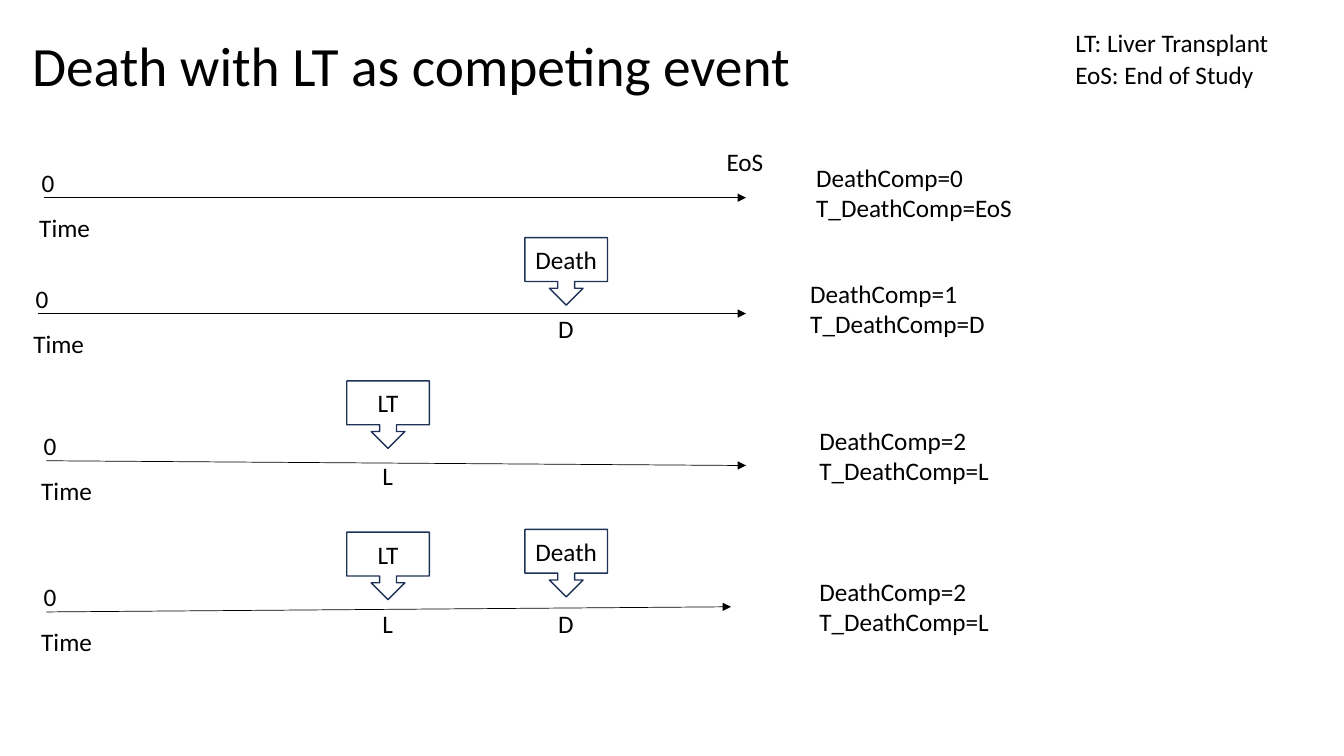
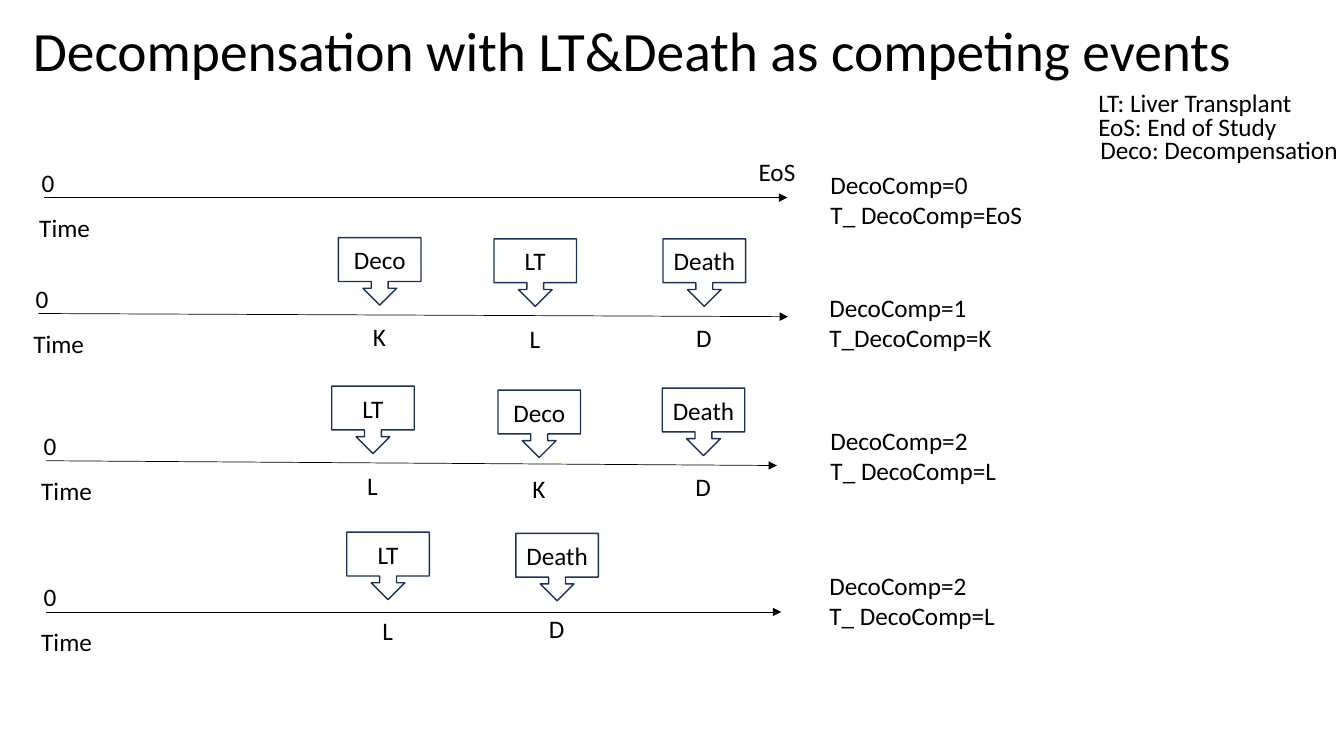
from lxml import etree
from pptx import Presentation
from pptx.dml.color import RGBColor
from pptx.enum import shapes, text
from pptx.oxml import ns
from pptx.util import Cm, Pt

FONT = "Calibri"
BLACK, NAVY = "000000", "1E3256"
CALLOUT_WIDTH, CALLOUT_HEIGHT = 2.08, 1.7
LINE_HEIGHT, RESULT_HEIGHT = 1.02, 1.8
LETTER_WIDTHS = {"L": 0.79, "D": 0.91, "K": 0.84}
LETTERS = {"LT": "L", "Death": "D", "Deco": "K"}
# Where each of the four time axes begins, the same on both slides
AXIS_STARTS = [(1.12, 4.98), (0.97, 7.9), (1.17, 11.61), (1.17, 15.42)]

# Lengths in centimetres. Title: text, left, top, width. Legend: text, left, top, width.
# Row: axis end, result lines, result box (left, top, width),
# events (name, left, callout top, letter top).
SLIDES = [
    {
        "title": ("Death with LT as competing event", 0.56, 0.84, 29.21),
        "legend": [("LT: Liver Transplant", 26.85, 0.56, 5.61),
                   ("EoS: End of Study", 26.85, 1.37, 5.05)],
        "end of study": (18.06, 3.56),
        "rows": [
            ((18.8, 4.98), "DeathComp=0\nT_DeathComp=EoS", (20.32, 3.96, 5.51), []),
            ((18.8, 7.9), "DeathComp=1\nT_DeathComp=D", (20.17, 6.88, 4.95),
             [("Death", 13.23, 5.99, 7.77)]),
            ((18.8, 11.73), "DeathComp=2\nT_DeathComp=L", (20.4, 10.59, 4.9),
             [("LT", 8.74, 9.6, 11.48)]),
            ((18.42, 15.29), "DeathComp=2\nT_DeathComp=L", (20.4, 14.4, 4.9),
             [("LT", 8.74, 13.41, 15.21), ("Death", 13.23, 13.34, 15.21)]),
        ],
    },
    {
        "title": ("Decompensation with LT&Death as competing events", 0.58, 0.46, 31.52),
        "legend": [("LT: Liver Transplant", 27.43, 2.08, 5.61),
                   ("EoS: End of Study", 27.43, 2.67, 5.05),
                   ("Deco: Decompensation", 27.48, 3.25, 6.58)],
        "end of study": (18.87, 3.81),
        "rows": [
            ((19.84, 4.98), "DecoComp=0\nT_ DecoComp=EoS", (20.68, 4.14, 5.54), []),
            ((19.86, 7.98), "DecoComp=1\nT_DecoComp=K", (20.65, 7.24, 4.65),
             [("Deco", 8.53, 5.99, 7.98), ("LT", 12.45, 6.02, 8.03),
              ("Death", 16.71, 6.02, 8.0)]),
            ((19.58, 11.73), "DecoComp=2\nT_ DecoComp=L", (20.68, 10.59, 4.85),
             [("LT", 8.36, 9.73, 11.73), ("Deco", 12.55, 9.83, 11.81),
              ("Death", 16.69, 9.78, 11.76)]),
            ((19.69, 15.42), "DecoComp=2\nT_ DecoComp=L", (20.65, 14.25, 4.75),
             [("LT", 8.74, 13.41, 15.39), ("Death", 13.0, 13.44, 15.34)]),
        ],
    },
]


def paint(color_format, hex_color):
    color_format.rgb = RGBColor.from_string(hex_color)


def write(shape, content, size=18, wrap=False):
    shape.text_frame.text = content
    shape.text_frame.word_wrap = wrap
    for paragraph in shape.text_frame.paragraphs:
        for run in paragraph.runs:
            run.font.name = FONT
            run.font.size = Pt(size)
            paint(run.font.color, BLACK)


presentation = Presentation()
presentation.slide_width, presentation.slide_height = Cm(33.87), Cm(19.05)

for content in SLIDES:
    slide = presentation.slides.add_slide(presentation.slide_layouts[6])

    # Title
    title, left, top, width = content["title"]
    shape = slide.shapes.add_textbox(Cm(left), Cm(top), Cm(width), Cm(1.8))
    write(shape, title, 39.6, wrap=True)
    shape.text_frame.vertical_anchor = text.MSO_ANCHOR.MIDDLE
    shape.text_frame.paragraphs[0].line_spacing = 0.9

    # Labels: legend and end of study, then those of each row
    labels = content["legend"] + [("EoS", *content["end of study"], 1.45)]

    for (x, y), (end, result, result_box, events) in zip(AXIS_STARTS, content["rows"]):
        labels += [("0", x - 0.32, y - 0.89, 0.84),
                   ("Time", x - 0.38, y + 0.24, 1.8),
                   (result, *result_box)]

        # Time axis
        axis = slide.shapes.add_connector(
            shapes.MSO_CONNECTOR.STRAIGHT, Cm(x), Cm(y), Cm(end[0]), Cm(end[1]))
        paint(axis.line.color, BLACK)
        axis.line.width = Pt(0.5)
        etree.SubElement(axis.line._get_or_add_ln(), ns.qn("a:tailEnd"), type="triangle")
        etree.SubElement(axis._element.spPr, ns.qn("a:effectLst"))

        # Events: a callout above the axis, its letter centred below
        for name, left, top, letter_top in events:
            callout = slide.shapes.add_shape(
                shapes.MSO_SHAPE.DOWN_ARROW_CALLOUT,
                Cm(left), Cm(top), Cm(CALLOUT_WIDTH), Cm(CALLOUT_HEIGHT))
            callout.shadow.inherit = False
            callout.fill.background()
            paint(callout.line.color, NAVY)
            callout.line.width = Pt(1)
            write(callout, name)
            callout.text_frame.vertical_anchor = text.MSO_ANCHOR.MIDDLE
            callout.text_frame.paragraphs[0].alignment = text.PP_ALIGN.CENTER
            letter = LETTERS[name]
            width = LETTER_WIDTHS[letter]
            labels.append((letter, left + (CALLOUT_WIDTH - width) / 2, letter_top, width))

    for label, left, top, width in labels:
        height = RESULT_HEIGHT if "\n" in label else LINE_HEIGHT
        shape = slide.shapes.add_textbox(Cm(left), Cm(top), Cm(width), Cm(height))
        write(shape, label)
        shape.text_frame.auto_size = text.MSO_AUTO_SIZE.SHAPE_TO_FIT_TEXT

presentation.save("out.pptx")
